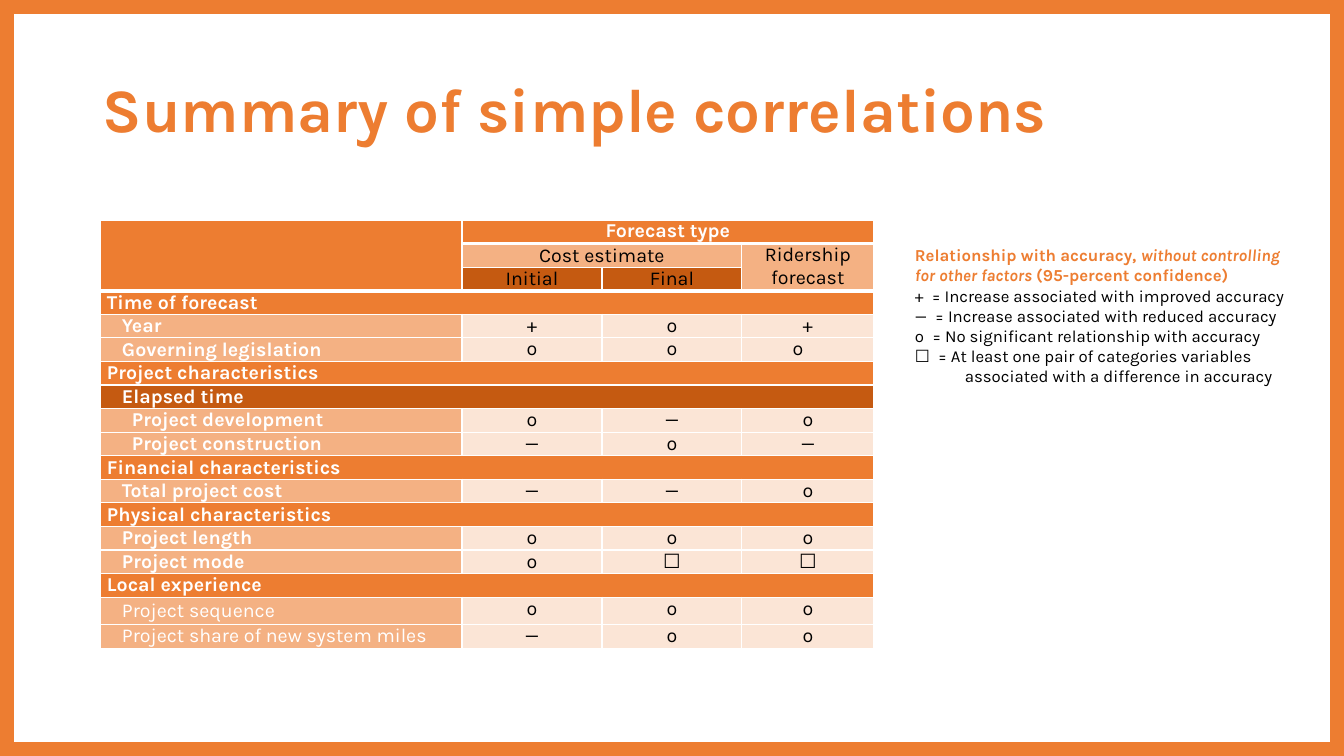
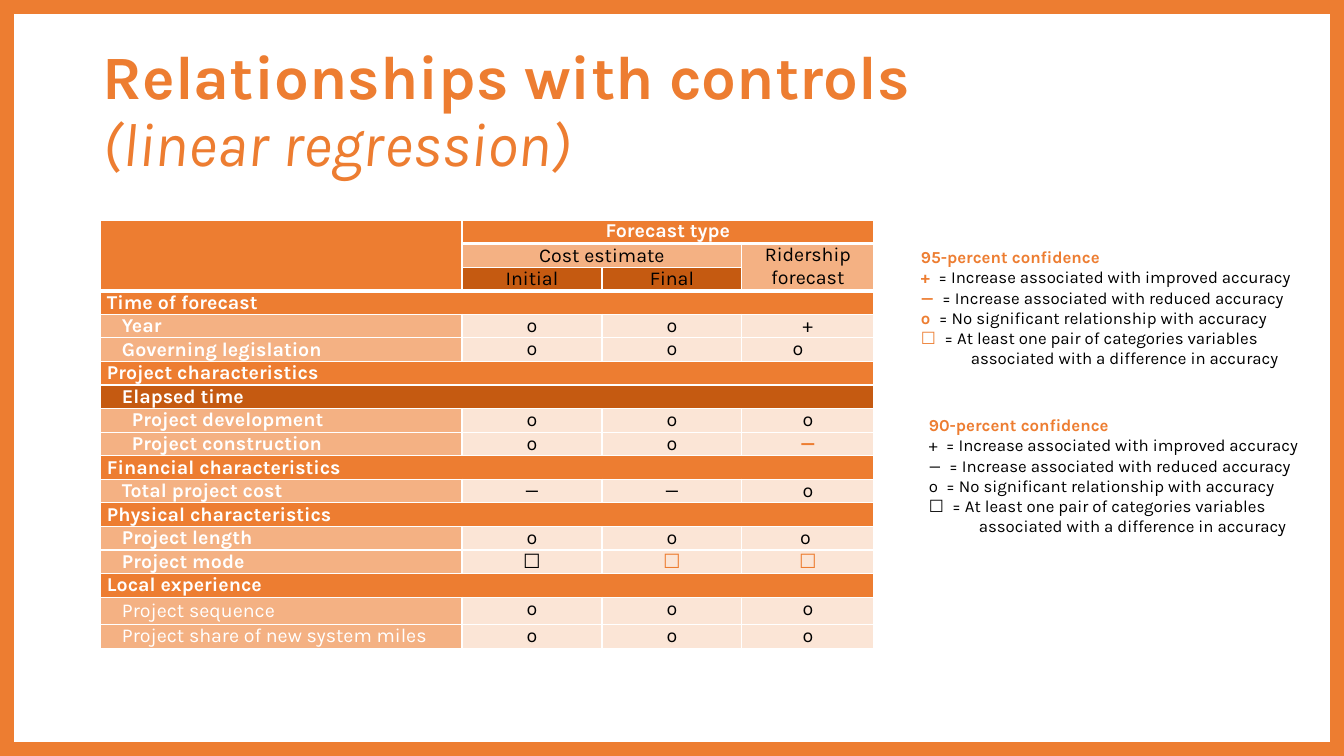
"""Builds two slides of forecast accuracy tables with their legends."""
from lxml import etree
from pptx import Presentation
from pptx.dml.color import RGBColor
from pptx.enum.shapes import MSO_SHAPE as SHAPE
from pptx.enum.text import MSO_ANCHOR as ANCHOR, PP_ALIGN as ALIGN
from pptx.oxml.ns import qn
from pptx.util import Pt

ORANGE, DARK, LIGHT, PALE = "ED7D31", "C55A11", "F4B183", "FBE5D6"
WHITE, BLACK = "FFFFFF", "000000"
FONT = "Karla"
SCALE = 12192000 / 1344

COLUMNS = [362, 140, 140, 132]
MAIN_ROWS, MAIN_HEIGHT, LAST_HEIGHTS = 16, 375, [27, 24]
INDENTS = [7, 22, 32]

# (row, column, last row, last column, text, fill, colour, bold, anchor)
HEADERS = [
    (0, 0, 2, 0, "", ORANGE, WHITE, True, ANCHOR.TOP),
    (0, 1, 0, 3, "Forecast type", ORANGE, WHITE, True, ANCHOR.TOP),
    (1, 1, 1, 2, "Cost estimate", LIGHT, BLACK, False, ANCHOR.BOTTOM),
    (1, 3, 2, 3, "Ridership forecast", LIGHT, BLACK, False, ANCHOR.TOP),
    (2, 1, 2, 1, "Initial", DARK, BLACK, False, ANCHOR.BOTTOM),
    (2, 2, 2, 2, "Final", DARK, BLACK, False, ANCHOR.BOTTOM),
]
# (label, indent level, fill, bold)
ROWS = [
    ("Time of forecast", 0, ORANGE, True),
    ("Year", 1, LIGHT, True),
    ("Governing legislation", 1, LIGHT, True),
    ("Project characteristics", 0, ORANGE, True),
    ("Elapsed time", 1, DARK, True),
    ("Project development", 2, LIGHT, True),
    ("Project construction", 2, LIGHT, True),
    ("Financial characteristics", 0, ORANGE, True),
    ("Total project cost", 1, LIGHT, True),
    ("Physical characteristics", 0, ORANGE, True),
    ("Project length", 1, LIGHT, True),
    ("Project mode", 1, LIGHT, True),
    ("Local experience", 0, ORANGE, True),
    ("Project sequence", 1, LIGHT, False),
    ("Project share of new system miles", 1, LIGHT, False),
]
LEGEND = [
    ("+", "= Increase associated with improved accuracy"),
    ("—", "= Increase associated with reduced accuracy"),
    ("o", "= No significant relationship with accuracy"),
    ("☐", "= At least one pair of categories variables associated with a difference in accuracy"),
]
SLIDES = [
    {
        "title": [("Summary of simple correlations", True, False)],
        "marks": {
            "Year": "+ o +",
            "Governing legislation": "o o o",
            "Project development": "o — o",
            "Project construction": "— o —",
            "Total project cost": "— — o",
            "Project length": "o o o",
            "Project mode": "o ☐ ☐",
            "Project sequence": "o o o",
            "Project share of new system miles": "— o o",
        },
        "nudges": {"Governing legislation": 20},
        "legends": [
            (905, 240, 153, 0, False, [
                ("Relationship with accuracy, ", True, False),
                ("without controlling for other factors ", True, True),
                ("(95-percent confidence)", True, False),
            ]),
        ],
    },
    {
        "title": [("Relationships with controls", True, False),
                  ("(linear regression)", False, True)],
        "marks": {
            "Year": "o o +",
            "Governing legislation": "o o o",
            "Project development": "o o o",
            "Project construction": "o o —*",
            "Total project cost": "— — o",
            "Project length": "o o o",
            "Project mode": "☐ ☐* ☐*",
            "Project sequence": "o o o",
            "Project share of new system miles": "o o o",
        },
        "nudges": {"Governing legislation": 20, "Project length": 5},
        "legends": [
            (911, 242, 132, 50, True, [("95-percent confidence", True, False)]),
            (919, 410, 132, 50, False, [("90-percent confidence", True, False)]),
        ],
    },
]


def px(n):
    return round(n * SCALE)


def rgb(code):
    return RGBColor.from_string(code)


def set_font(font, size, colour, bold=False, italic=False):
    font.name, font.size, font.bold, font.italic = FONT, Pt(size), bold, italic
    font.color.rgb = rgb(colour)


def add_run(p, text, size, colour, bold=False, italic=False):
    r = p.add_run()
    r.text = text
    set_font(r.font, size, colour, bold, italic)
    return r


def add_frame(slide, prs):
    s = slide.shapes.add_shape(SHAPE.RECTANGLE, 0, 0, prs.slide_width, prs.slide_height)
    s.shadow.inherit = False
    s.fill.background()
    s.line.color.rgb = rgb(ORANGE)
    s.line.width = Pt(20)


def add_text_frame(slide, x, y, w, h):
    tf = slide.shapes.add_textbox(px(x), px(y), px(w), px(h)).text_frame
    tf.word_wrap = True
    return tf


def add_title(slide, lines):
    tf = add_text_frame(slide, 93, 40, 1159, 146)
    tf.vertical_anchor = ANCHOR.MIDDLE
    p = tf.paragraphs[0]
    p.line_spacing = 0.9
    for i, (text, bold, italic) in enumerate(lines):
        if i:
            p.add_line_break()
        add_run(p, text, 44, ORANGE, bold, italic)


def set_borders(cell, bottom):
    props = cell._tc.get_or_add_tcPr()
    for i, (side, width) in enumerate([("L", 1), ("R", 1), ("T", 1), ("B", bottom)]):
        ln = etree.Element(qn(f"a:ln{side}"), w=str(Pt(width)))
        fill = etree.SubElement(ln, qn("a:solidFill"))
        etree.SubElement(fill, qn("a:srgbClr"), val=WHITE)
        props.insert(i, ln)


def fill_cell(cell, text, fill, colour, bold, anchor, align=ALIGN.CENTER, left=7, right=7):
    cell.fill.solid()
    cell.fill.fore_color.rgb = rgb(fill)
    cell.margin_left, cell.margin_right = px(left), px(right)
    cell.vertical_anchor = anchor
    p = cell.text_frame.paragraphs[0]
    p.text = text
    p.alignment = align
    set_font(p.font, 14, colour, bold)


def add_table(slide, marks, nudges):
    heights = [px(MAIN_HEIGHT) // MAIN_ROWS] * MAIN_ROWS + [px(h) for h in LAST_HEIGHTS]
    table = slide.shapes.add_table(len(heights), len(COLUMNS), px(100), px(220),
                                   px(sum(COLUMNS)), sum(heights)).table
    table.horz_banding = False
    for column, width in zip(table.columns, COLUMNS):
        column.width = px(width)
    for i, (row, height) in enumerate(zip(table.rows, heights)):
        row.height = height
        for cell in row.cells:
            cell.margin_top = cell.margin_bottom = 0
            set_font(cell.text_frame.paragraphs[0].font, 14, BLACK)
            set_borders(cell, 3 if i in (0, 2) else 1)

    for top, left, bottom, right, *content in HEADERS:
        cell = table.cell(top, left)
        if (top, left) != (bottom, right):
            cell.merge(table.cell(bottom, right))
        fill_cell(cell, *content)

    for i, (label, level, fill, bold) in enumerate(ROWS, start=3):
        cell = table.cell(i, 0)
        if label not in marks:
            cell.merge(table.cell(i, len(COLUMNS) - 1))
        fill_cell(cell, label, fill, WHITE, bold, ANCHOR.MIDDLE, ALIGN.LEFT, INDENTS[level])
        for j, mark in enumerate(marks.get(label, "").split(), start=1):
            strong = mark.endswith("*")
            mark = mark.rstrip("*")
            anchor = ANCHOR.MIDDLE if mark in "—☐" else ANCHOR.TOP
            nudge = nudges.get(label, 0) if j == 3 else 0
            fill_cell(table.cell(i, j), mark, PALE, ORANGE if strong else BLACK,
                      strong, anchor, right=7 + nudge)


def set_hanging(p, indent):
    props = p._p.get_or_add_pPr()
    props.set("marL", str(px(indent)))
    props.set("indent", str(-px(indent)))


def add_legend(slide, x, y, h, heading_indent, strong, heading):
    tf = add_text_frame(slide, x, y, 394, h)
    p = tf.paragraphs[0]
    set_hanging(p, heading_indent)
    for text, bold, italic in heading:
        add_run(p, text, 12, ORANGE, bold, italic)
    for mark, meaning in LEGEND:
        p = tf.add_paragraph()
        set_hanging(p, 50)
        r = add_run(p, mark + " ", 12, ORANGE if strong else BLACK, strong)
        r._r.get_or_add_rPr().set("spc", "150")
        add_run(p, meaning, 12, BLACK)


def main():
    prs = Presentation()
    prs.slide_width, prs.slide_height = px(1344), px(756)
    for content in SLIDES:
        slide = prs.slides.add_slide(prs.slide_layouts[6])
        add_frame(slide, prs)
        add_title(slide, content["title"])
        add_table(slide, content["marks"], content["nudges"])
        for legend in content["legends"]:
            add_legend(slide, *legend)
    prs.save("out.pptx")


if __name__ == "__main__":
    main()
